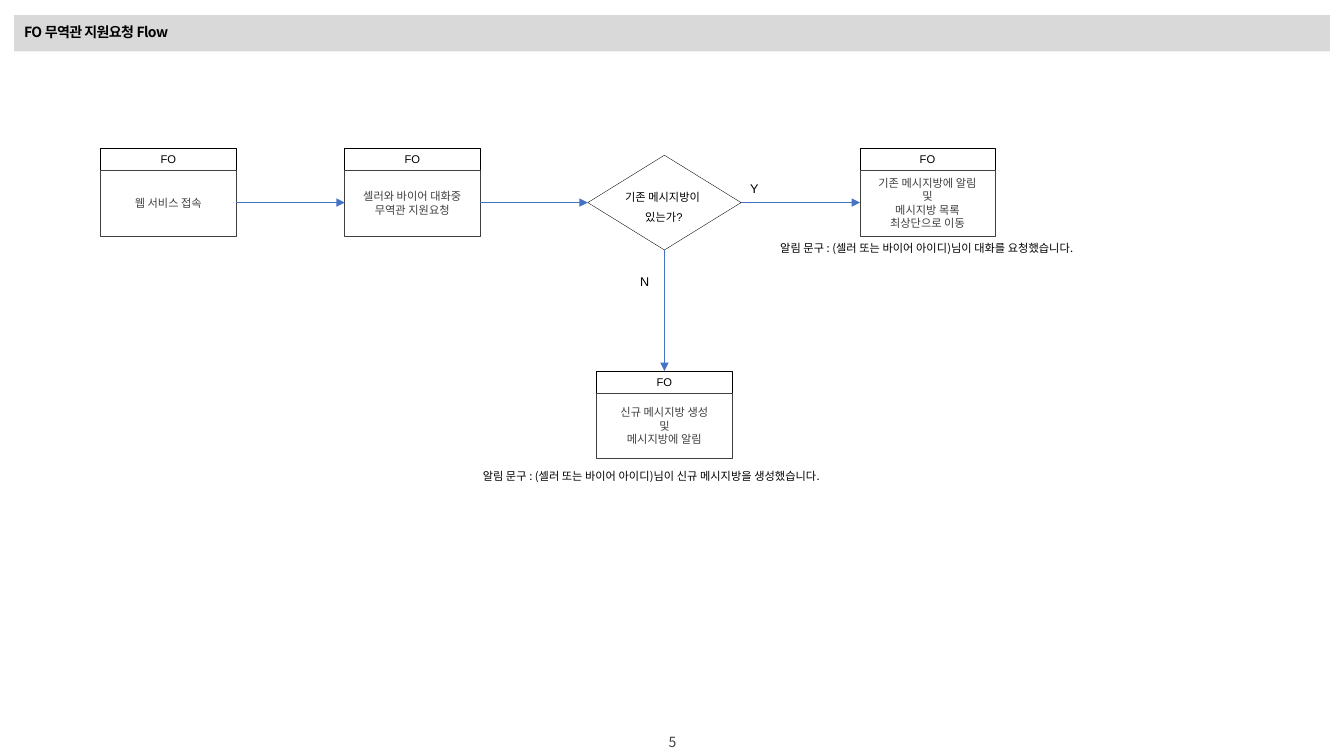
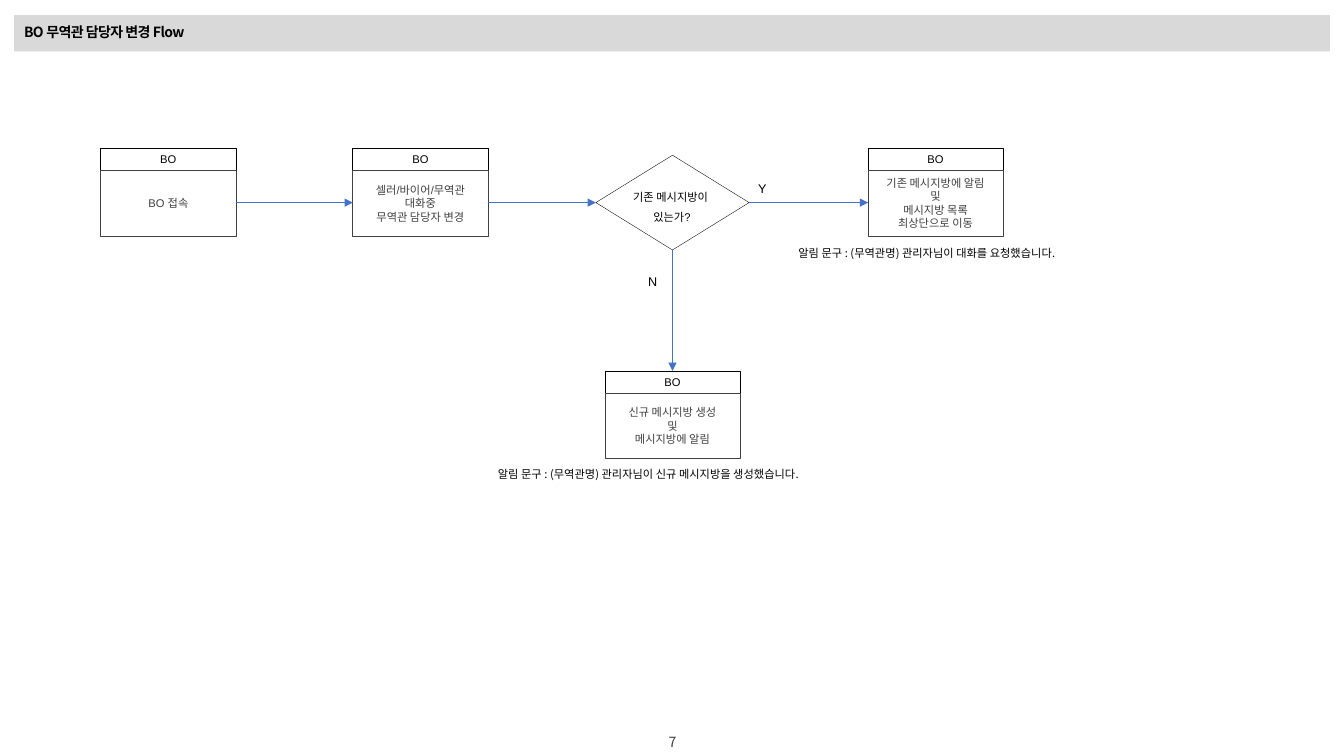
from pptx import Presentation
from pptx.dml.color import RGBColor
from pptx.enum.shapes import MSO_CONNECTOR, MSO_SHAPE
from pptx.enum.text import MSO_ANCHOR, MSO_AUTO_SIZE, PP_ALIGN
from pptx.oxml.ns import qn
from pptx.util import Inches, Pt
from lxml import etree

RECT, PROCESS = MSO_SHAPE.RECTANGLE, MSO_SHAPE.FLOWCHART_PROCESS
DECISION, STRAIGHT = MSO_SHAPE.FLOWCHART_DECISION, MSO_CONNECTOR.STRAIGHT
TOP, MIDDLE = MSO_ANCHOR.TOP, MSO_ANCHOR.MIDDLE
LEFT, CENTER = PP_ALIGN.LEFT, PP_ALIGN.CENTER
GROW = MSO_AUTO_SIZE.SHAPE_TO_FIT_TEXT

COLORS = {"band": "D9D9D9", "ink": "000000", "body": "404040",
          "paper": "FFFFFF", "arrow": "4472C4"}
LATIN, KOREAN = "Arial", "Noto Sans CJK KR"

# Flow grid, in inches; columns of the flow are offsets from the decision's centre
SLIDE_W, SLIDE_H = 13.33, 7.5
BOX_W, HEAD_H, BODY_H = 1.34, 0.22, 0.65
DECISION_W, DECISION_H = 1.52, 0.94
START_X, ROW_Y, BRANCH_Y, AXIS_Y = 1, 1.47, 3.68, 2.01
REQUEST_DX, EXISTING_DX = -3.17, 1.94

EXISTING_ROOM = ["기존 메시지방에 알림", "및", "메시지방 목록", "최상단으로 이동"]
NEW_ROOM = ["신규 메시지방 생성", "및", "메시지방에 알림"]

FLOWS = [
    {"title": "FO 무역관 지원요청 Flow", "page": "5", "office": "FO", "center": 6.59,
     "start": ["웹 서비스 접속"],
     "request": ["셀러와 바이어 대화중", "무역관 지원요청"],
     "notes": [
         ("알림 문구 : (셀러 또는 바이어 아이디)님이 대화를 요청했습니다.",
          (7.64, 2.35, 3.45, 0.24), 1, 0),
         ("알림 문구 : (셀러 또는 바이어 아이디)님이 신규 메시지방을 생성했습니다.",
          (4.69, 4.54, 4.53, 0.28), 1.5, 0)]},
    {"title": "BO 무역관 담당자 변경 Flow", "page": "7", "office": "BO", "center": 6.67,
     "start": ["BO 접속"],
     "request": ["셀러/바이어/무역관", "대화중", "무역관 담당자 변경"],
     "notes": [
         ("알림 문구 : (무역관명) 관리자님이 대화를 요청했습니다.",
          (7.82, 2.39, 3.38, 0.24), 1, 0),
         ("알림 문구 : (무역관명) 관리자님이 신규 메시지방을 생성했습니다.",
          (4.84, 4.57, 4.05, 0.24), 1.1, 1.6)]},
]


def add_block(slide, kind, at, fill=None, line=None, weight=0.5):
    """Add a preset shape, or a text box when kind is None."""
    place = [Inches(length) for length in at]
    if kind is None:
        box = slide.shapes.add_textbox(*place)
        box.text_frame.auto_size = GROW
        return box
    block = slide.shapes.add_shape(kind, *place)
    block.shadow.inherit = False
    if fill:
        block.fill.solid()
        block.fill.fore_color.rgb = RGBColor.from_string(COLORS[fill])
    else:
        block.fill.background()
    if line:
        block.line.color.rgb = RGBColor.from_string(COLORS[line])
        block.line.width = Pt(weight)
    else:
        block.line.fill.background()
    return block


def write(block, lines, size=8, color="ink", font=LATIN, align=CENTER, anchor=TOP,
          spacing=1, before=0, wrap=False, inset=None, bold=False, tracking=None):
    frame = block.text_frame
    frame.word_wrap, frame.vertical_anchor = wrap, anchor
    if inset is not None:
        frame.margin_left = frame.margin_right = Inches(inset)
        frame.margin_top = frame.margin_bottom = Inches(inset)
    for i, text in enumerate(lines):
        paragraph = frame.add_paragraph() if i else frame.paragraphs[0]
        paragraph.add_run().text = text
        paragraph.alignment, paragraph.line_spacing = align, spacing
        paragraph.space_before = Pt(before)
        paragraph.font.size, paragraph.font.bold = Pt(size), bold
        paragraph.font.color.rgb = RGBColor.from_string(COLORS[color])
        paragraph.font.name = font
        defaults = paragraph.font._element
        latin = defaults.find(qn("a:latin"))
        east_asian = etree.Element(qn("a:ea"), typeface=KOREAN)
        latin.addnext(east_asian)
        if tracking:
            defaults.set("spc", str(tracking))


prs = Presentation()
prs.slide_width, prs.slide_height = Inches(SLIDE_W), Inches(SLIDE_H)

for flow in FLOWS:
    slide = prs.slides.add_slide(prs.slide_layouts[6])
    center = flow["center"]

    # Title band and page number
    title = add_block(slide, RECT, (0.14, 0.15, 13.05, 0.36), "band")
    write(title, [flow["title"]], 10, font=KOREAN, align=LEFT, anchor=MIDDLE,
          spacing=0.9, wrap=True, bold=True, tracking=-40)
    page = add_block(slide, None, (6.48, 7.23, 0.38, 0.27))
    write(page, [flow["page"]], 10, "body", KOREAN, anchor=MIDDLE)

    # Steps: office header over its action
    request_x, existing_x = center + REQUEST_DX, center + EXISTING_DX
    steps = [(START_X, ROW_Y, flow["start"]),
             (request_x, ROW_Y, flow["request"]),
             (existing_x, ROW_Y, EXISTING_ROOM),
             (center - BOX_W / 2, BRANCH_Y, NEW_ROOM)]
    for x, y, action in steps:
        head = add_block(slide, RECT, (x, y, BOX_W, HEAD_H), "paper", "ink")
        write(head, [flow["office"]], anchor=MIDDLE, inset=0)
        body = add_block(slide, PROCESS, (x, y + HEAD_H, BOX_W, BODY_H), "paper", "body")
        write(body, action, color="body", anchor=MIDDLE, inset=0)

    # Decision with its question and branch labels
    decision_x, decision_y = center - DECISION_W / 2, AXIS_Y - DECISION_H / 2
    add_block(slide, DECISION, (decision_x, decision_y, DECISION_W, DECISION_H),
              line="ink", weight=0.25)
    question = add_block(slide, None, (center - 0.54, 1.77, 1.07, 0.48))
    write(question, ["기존 메시지방이 ", "있는가?"], spacing=1.5)
    for answer, dx, y in [("Y", 0.75, 1.67), ("N", -0.34, 2.59)]:
        label = add_block(slide, None, (center + dx, y, 0.29, 0.3))
        write(label, [answer], 9, align=LEFT, spacing=1.5)

    # Arrows between the steps
    arrows = [(START_X + BOX_W, AXIS_Y, request_x, AXIS_Y),
              (request_x + BOX_W, AXIS_Y, decision_x, AXIS_Y),
              (decision_x + DECISION_W, AXIS_Y, existing_x, AXIS_Y),
              (center, decision_y + DECISION_H, center, BRANCH_Y)]
    for ends in arrows:
        arrow = slide.shapes.add_connector(STRAIGHT, *[Inches(end) for end in ends])
        arrow.line.color.rgb = RGBColor.from_string(COLORS["arrow"])
        arrow.line.width = Pt(0.5)
        etree.SubElement(arrow.line._get_or_add_ln(), qn("a:tailEnd"), type="triangle")
        etree.SubElement(arrow._element.spPr, qn("a:effectLst"))

    # Notification wording under the outcomes
    for text, at, spacing, before in flow["notes"]:
        note = add_block(slide, None, at)
        write(note, [text], font=KOREAN, align=LEFT, spacing=spacing, before=before,
              wrap=True)

prs.save("out.pptx")
